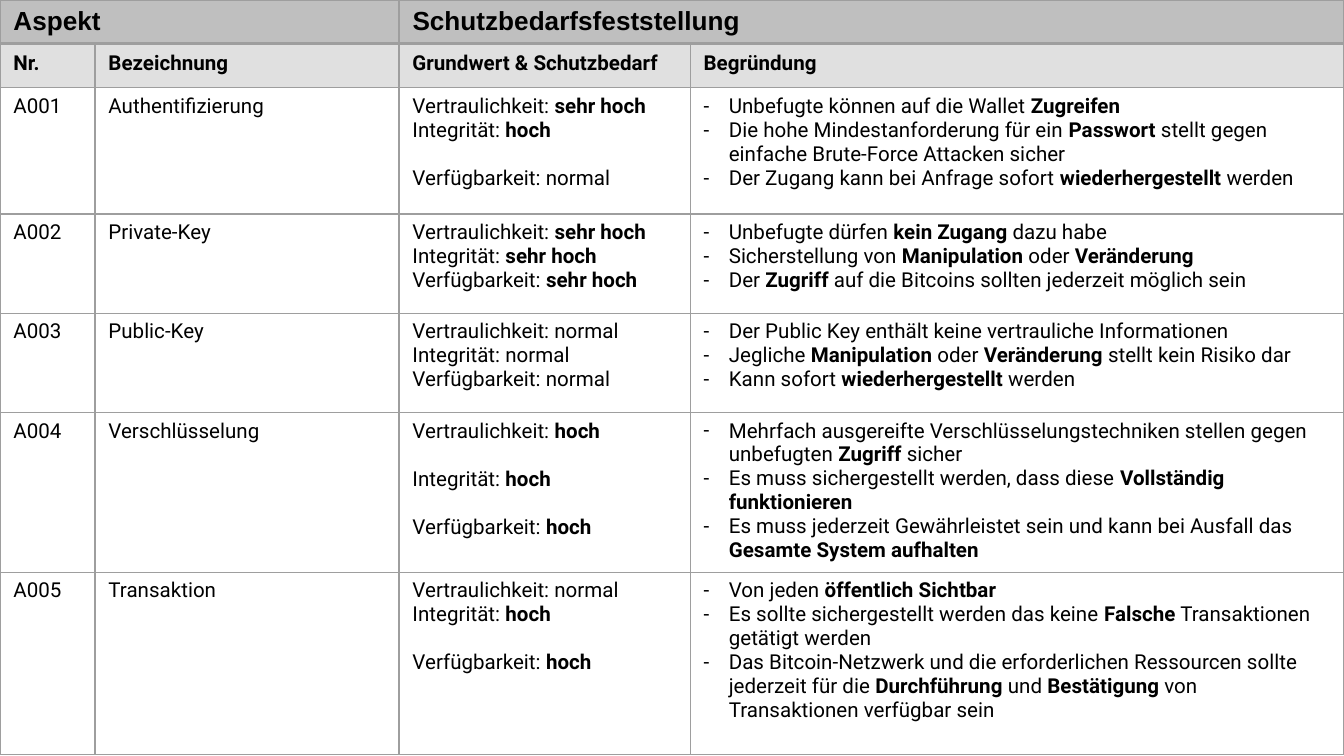
"""Build a slide with a protection needs assessment table."""
from lxml import etree
from pptx import Presentation
from pptx import util as u
from pptx.dml import color
from pptx.oxml import ns

COLOURS = {"title": "BFBFBF", "header": "E0E0E0", "border": "9E9E9E", "text": "000000"}
LINE = 12.9
INDENT = 13.5

TITLES = [["Aspekt"], ["Schutzbedarfsfeststellung"]]
HEADERS = [["Nr."], ["Bezeichnung"], ["Grundwert & Schutzbedarf"], ["Begründung"]]
ASPECTS = [
    ("A001", "Authentifizierung", ("*sehr hoch*", "*hoch*", "normal"), (0, 0, 1), [
        "Unbefugte können auf die Wallet *Zugreifen*",
        "Die hohe Mindestanforderung für ein *Passwort *stellt gegen einfache Brute-Force Attacken sicher",
        "Der Zugang kann bei Anfrage sofort *wiederhergestellt* werden"]),
    ("A002", "Private-Key", ("*sehr hoch*", "*sehr hoch*", "*sehr hoch*"), (0, 0, 0), [
        "Unbefugte dürfen *kein Zugang *dazu habe",
        "Sicherstellung von *Manipulation* oder *Veränderung*",
        "Der *Zugriff* auf die Bitcoins sollten jederzeit möglich sein"]),
    ("A003", "Public-Key", ("normal", "normal", "normal"), (0, 0, 0), [
        "Der Public Key enthält keine vertrauliche Informationen",
        "Jegliche *Manipulation* oder *Veränderung *stellt kein Risiko dar",
        "Kann sofort *wiederhergestellt* werden"]),
    ("A004", "Verschlüsselung", ("*hoch*", "*hoch*", "*hoch*"), (0, 1, 1), [
        "Mehrfach ausgereifte Verschlüsselungstechniken stellen gegen unbefugten *Zugriff* sicher",
        "Es muss sichergestellt werden, dass diese *Vollständig funktionieren*",
        "Es muss jederzeit Gewährleistet sein und kann bei Ausfall das *Gesamte System aufhalten*"]),
    ("A005", "Transaktion", ("normal", "*hoch*", "*hoch*"), (0, 0, 1), [
        "Von jeden *öffentlich Sichtbar*",
        "Es sollte sichergestellt werden das keine *Falsche* Transaktionen getätigt werden",
        "Das Bitcoin-Netzwerk und die erforderlichen Ressourcen sollte jederzeit für die "
        "*Durchführung* und *Bestätigung* von Transaktionen verfügbar sein"]),
]
GOALS = ("Vertraulichkeit", "Integrität", "Verfügbarkeit")


def write_cell(cell, lines, font="Roboto", size=11, bold=False, fill=None, gaps=(), bullet=False):
    frame = cell.text_frame
    for number, line in enumerate(lines):
        para = frame.add_paragraph() if number else frame.paragraphs[0]
        if gaps and gaps[number]:
            para.space_before = u.Pt(LINE)
        if bullet:
            props = para._p.get_or_add_pPr()
            props.set("marL", str(u.Pt(INDENT)))
            props.set("indent", str(u.Pt(-INDENT)))
            tint = etree.SubElement(props, ns.qn("a:buClr"))
            etree.SubElement(tint, ns.qn("a:srgbClr"), val=COLOURS["text"])
            etree.SubElement(props, ns.qn("a:buFont"), typeface=font)
            etree.SubElement(props, ns.qn("a:buChar"), char="-")
        for part, words in enumerate(line.split("*")):
            if words:
                span = para.add_run()
                span.text = words
                span.font.name = font
                span.font.size = u.Pt(size)
                span.font.bold = bold or part % 2 == 1
                span.font.color.rgb = color.RGBColor.from_string(COLOURS["text"])
    props = cell._tc.get_or_add_tcPr()
    for place, side in enumerate(("lnL", "lnR", "lnT", "lnB")):
        border = etree.Element(ns.qn("a:" + side), w=str(u.Pt(0.75)))
        solid = etree.SubElement(border, ns.qn("a:solidFill"))
        etree.SubElement(solid, ns.qn("a:srgbClr"), val=COLOURS["border"])
        props.insert(place, border)
    if fill:
        cell.fill.solid()
        cell.fill.fore_color.rgb = color.RGBColor.from_string(COLOURS[fill])
    else:
        cell.fill.background()


def add_grid(page, top, widths, heights):
    frame = page.shapes.add_table(len(heights), len(widths), u.Pt(0), u.Pt(top),
                                  u.Pt(sum(widths)), u.Pt(sum(heights)))
    table = frame.table
    table.first_row = False
    table.horz_banding = False
    for column, width in zip(table.columns, widths):
        column.width = u.Pt(width)
    for row, height in zip(table.rows, heights):
        row.height = u.Pt(height)
    return table


deck = Presentation()
deck.slide_width = u.Pt(720)
deck.slide_height = u.Pt(405)
page = deck.slides.add_slide(deck.slide_layouts[6])

title_table = add_grid(page, 0, [213.8, 506.2], [23])
for column, lines in enumerate(TITLES):
    write_cell(title_table.cell(0, column), lines, font="Arial", size=14, bold=True, fill="title")

needs_table = add_grid(page, 23.7, [50.9, 162.9, 156, 350.2], [23.3, 67.7, 53.1, 53.1, 85.7, 97.9])
for column, lines in enumerate(HEADERS):
    write_cell(needs_table.cell(0, column), lines, bold=True, fill="header")
for row, (code, name, levels, gaps, reasons) in enumerate(ASPECTS, 1):
    write_cell(needs_table.cell(row, 0), [code])
    write_cell(needs_table.cell(row, 1), [name])
    ratings = [f"{goal}: {level}" for goal, level in zip(GOALS, levels)]
    write_cell(needs_table.cell(row, 2), ratings, gaps=gaps)
    write_cell(needs_table.cell(row, 3), reasons, bullet=True)

deck.save("out.pptx")
